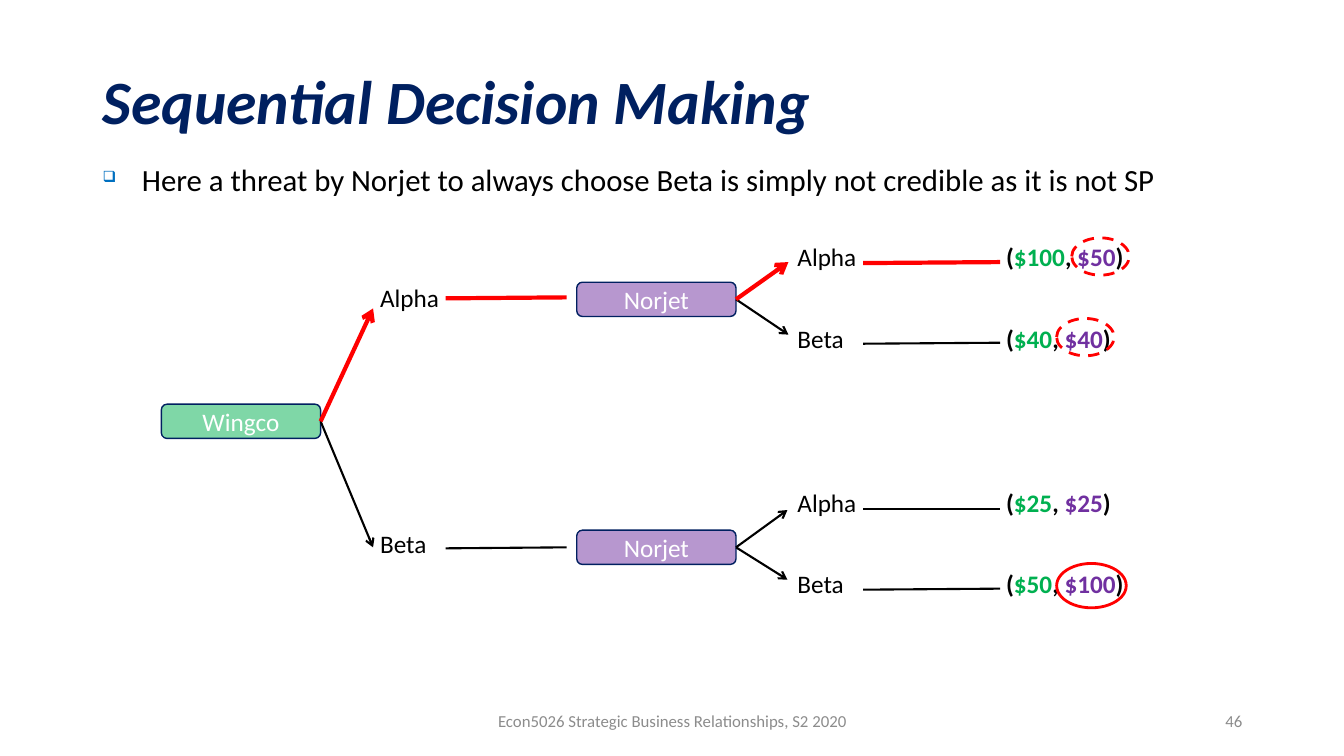
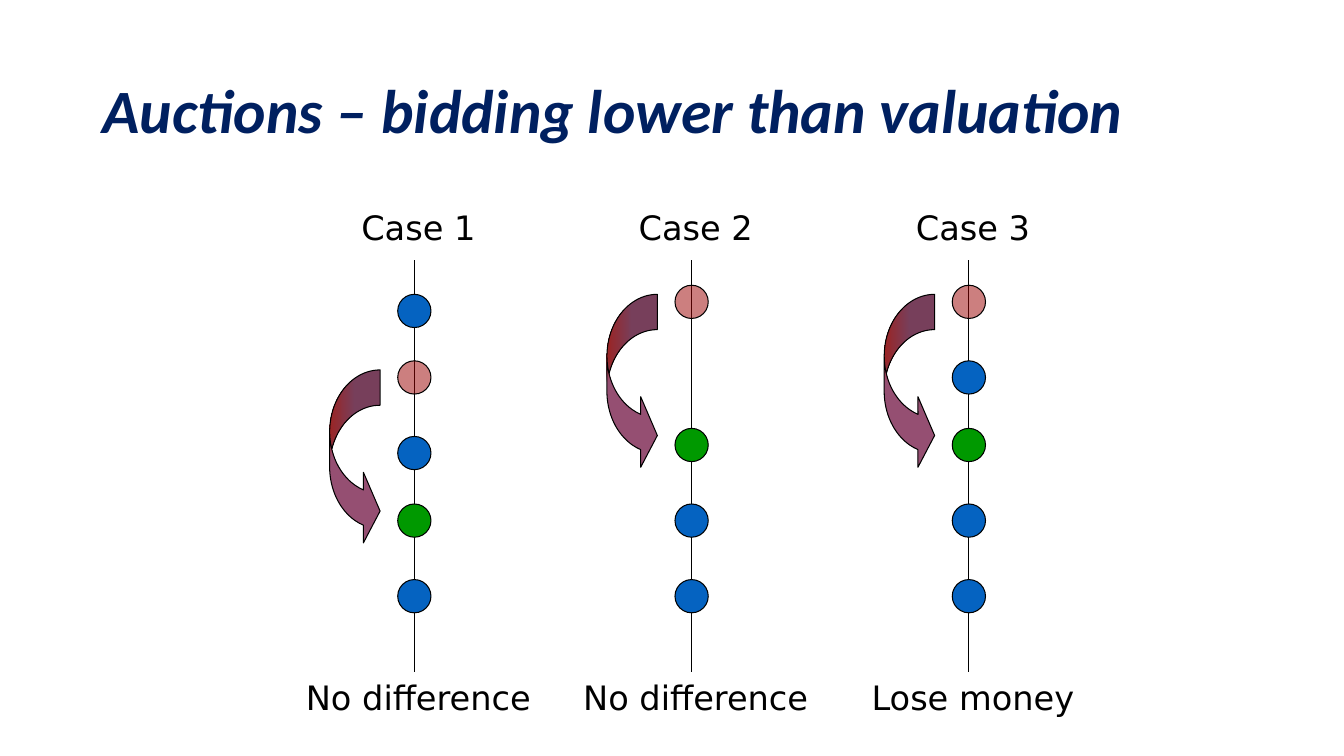
import pptx
import pptx.chart.data
import pptx.dml.color
import pptx.enum.dml
import pptx.enum.shapes
import pptx.enum.text
import pptx.oxml
import pptx.oxml.ns
import pptx.util
from lxml import etree

Inches, Pt, qn = pptx.util.Inches, pptx.util.Pt, pptx.oxml.ns.qn
SHAPE = pptx.enum.shapes.MSO_SHAPE
ALIGN = pptx.enum.text.PP_ALIGN
ANCHOR = pptx.enum.text.MSO_ANCHOR

COLORS = {
    "black": "000000", "white": "FFFFFF", "navy": "002060", "grey": "8C8C8C",
    "bullet": "0070C0", "green": "00B050", "purple": "7030A0", "red": "FF0000",
    "blue dot": "0563C1", "old bid": "9A0000", "new bid": "009900",
    "arrow start": "C22E2E", "arrow end": "954F72",
}
BODY_FONT, CASE_FONT = "Calibri", "DejaVu Sans"

# Content: decision tree
TREE_TITLE = "Sequential Decision Making"
THREAT = "Here a threat by Norjet to always choose Beta is simply not credible as it is not SP"
FOOTER = "Econ5026 Strategic Business Relationships, S2 2020"
PAGE_NUMBER = "46"
TABLE_ROWS, TABLE_COLUMNS = 9, 5
FIRST_CHOICES = {1: "Alpha", 7: "Beta"}  # table row: choice
OUTCOMES = {  # table row: choice, first payoff, second payoff
    0: ("Alpha", "$100", "$50"),
    2: ("Beta", "$40", "$40"),
    6: ("Alpha", "$25", "$25"),
    8: ("Beta", "$50", "$100"),
}
PLAYERS = {  # node: name, left, top, colour
    "upper": ("Norjet", 5.72, 2.8, "purple"),
    "lower": ("Norjet", 5.72, 5.26, "purple"),
    "first": ("Wingco", 1.6, 4.01, "green"),
}
BRANCHES = [  # node, arrow tip, on the equilibrium path
    ("first", (3.7, 5.43), False),
    ("lower", (7.81, 5.06), False),
    ("lower", (7.81, 5.75), False),
    ("upper", (7.82, 3.32), False),
    ("upper", (7.82, 2.6), True),
    ("first", (3.7, 3.06), True),
]
FIRST_SPAN, LAST_SPAN = (4.42, 5.62), (8.56, 9.92)
LINKS = [  # horizontal span, start y, end y, on the equilibrium path
    (FIRST_SPAN, 5.44, 5.43, False),
    (FIRST_SPAN, 2.96, 2.95, True),
    (LAST_SPAN, 2.61, 2.6, True),
    (LAST_SPAN, 3.41, 3.4, False),
    (LAST_SPAN, 5.05, 5.05, False),
    (LAST_SPAN, 5.85, 5.84, False),
]
RINGS = [  # left, top, width, height, dashed
    (10.63, 2.36, 0.57, 0.37, True),
    (10.48, 3.16, 0.57, 0.37, True),
    (10.48, 5.59, 0.69, 0.44, False),
]

# Content: auction cases, with the tops of the bid dots
AUCTION_TITLE = "Auctions – bidding lower than valuation"
CASES = [
    {"name": "Case 1", "result": "No difference",
     "old": 3.58, "new": 5, "others": (2.92, 4.33, 5.75)},
    {"name": "Case 2", "result": "No difference",
     "old": 2.83, "new": 4.25, "others": (5, 5.75)},
    {"name": "Case 3", "result": "Lose money",
     "old": 2.83, "new": 4.25, "others": (3.58, 5, 5.75)},
]
AXIS_LEFT, AXIS_STEP, AXIS_TOP, AXIS_BOTTOM = 4.11, 2.75, 2.58, 6.67
DOT = 0.33


def rgb(color):
    return pptx.dml.color.RGBColor.from_string(COLORS[color])


def style_run(run, size, color="black", font=BODY_FONT, bold=False, italic=False):
    run.font.name, run.font.size = font, Pt(size)
    run.font.bold, run.font.italic = bold, italic
    run.font.color.rgb = rgb(color)


def write(box, text, size, align=ALIGN.LEFT, anchor=ANCHOR.TOP, **style):
    frame = box.text_frame
    frame.word_wrap = True
    frame.vertical_anchor = anchor
    frame.text = text
    para = frame.paragraphs[0]
    para.alignment = align
    style_run(para.runs[0], size, **style)
    return para


def add_text(page, place, text, size, **style):
    box = page.shapes.add_textbox(*map(Inches, place))
    return write(box, text, size, **style)


def add_title(page, top, height, text):
    para = add_text(page, (0.92, top, 11.5, height), text, 44, anchor=ANCHOR.MIDDLE,
                    color="navy", bold=True, italic=True)
    para.line_spacing = 0.9


def add_shape(page, kind, place, fill=None, line="black", width=0.75, opacity=100):
    box = page.shapes.add_shape(kind, *map(Inches, place))
    box.shadow.inherit = False
    box.line.color.rgb = rgb(line)
    box.line.width = Pt(width)
    if fill is None:
        box.fill.background()
        return box
    box.fill.solid()
    box.fill.fore_color.rgb = rgb(fill)
    if opacity < 100:
        color = box.element.spPr.find(qn("a:solidFill"))[0]
        etree.SubElement(color, qn("a:alpha"), val=str(opacity * 1000))
    return box


def add_line(page, start, end, color="black", width=0.75, arrow=False):
    line = page.shapes.add_connector(pptx.enum.shapes.MSO_CONNECTOR.STRAIGHT,
                                     *map(Inches, start + end))
    line.line.color.rgb = rgb(color)
    line.line.width = Pt(width)
    properties = line.element.spPr
    if arrow:
        etree.SubElement(properties.find(qn("a:ln")), qn("a:tailEnd"), type="arrow")
    etree.SubElement(properties, qn("a:effectLst"))
    return line


def path_style(on_path):
    return {"color": "red", "width": 3} if on_path else {"color": "black", "width": 1.5}


def add_bullet(para):
    properties = para._p.get_or_add_pPr()
    properties.set("marL", str(Inches(0.39)))
    properties.set("indent", str(-Inches(0.39)))
    color = etree.SubElement(properties, qn("a:buClr"))
    etree.SubElement(color, qn("a:srgbClr"), val=COLORS["bullet"])
    etree.SubElement(properties, qn("a:buSzPct"), val="50000")
    etree.SubElement(properties, qn("a:buChar"), char="❑")


def add_payoff_table(page):
    place = map(Inches, (1.6, 2.36, 10.35, 3.65))
    table = page.shapes.add_table(TABLE_ROWS, TABLE_COLUMNS, *place).table
    table.first_row = table.horz_banding = False
    for cell in table.iter_cells():
        cell.fill.background()

    def fill_cell(row, column, spans, bold=False):
        para = table.cell(row, column).text_frame.paragraphs[0]
        for text, color in spans:
            run = para.add_run()
            run.text = text
            style_run(run, 18, color, bold=bold)

    for row, choice in FIRST_CHOICES.items():
        fill_cell(row, 1, [(choice, "black")])
    for row, (choice, first, second) in OUTCOMES.items():
        fill_cell(row, 3, [(choice, "black")])
        fill_cell(row, 4, [("(", "black"), (first, "green"), (", ", "black"),
                           (second, "purple"), (")", "black")], bold=True)


def build_tree(page):
    add_title(page, 0.43, 1.21, TREE_TITLE)
    para = add_text(page, (0.92, 1.47, 11.5, 0.6), THREAT, 22)
    add_bullet(para)
    para.line_spacing = 1.2

    # Footer
    for place, text, align in [((4.42, 6.95, 4.5, 0.4), FOOTER, ALIGN.CENTER),
                               ((9.42, 6.95, 3, 0.4), PAGE_NUMBER, ALIGN.RIGHT)]:
        add_text(page, place, text, 12, align=align, anchor=ANCHOR.MIDDLE, color="grey")

    # Choices, payoffs and players
    add_payoff_table(page)
    nodes = {}
    for key, (name, left, top, color) in PLAYERS.items():
        node = add_shape(page, SHAPE.ROUNDED_RECTANGLE, (left, top, 1.58, 0.34),
                         color, "navy", 1, opacity=50)
        write(node, name, 18, align=ALIGN.CENTER, anchor=ANCHOR.MIDDLE, color="white")
        nodes[key] = node

    # Branches and links
    for key, tip, on_path in BRANCHES:
        branch = add_line(page, tip, tip, arrow=True, **path_style(on_path))
        branch.begin_connect(nodes[key], 3)
    for (left, right), start, end, on_path in LINKS:
        add_line(page, (left, start), (right, end), **path_style(on_path))

    # Rings around the second player's payoffs
    for *place, dashed in RINGS:
        ring = add_shape(page, SHAPE.OVAL, place, line="red", width=2)
        if dashed:
            ring.line.dash_style = pptx.enum.dml.MSO_LINE.DASH


def add_bid_arrow(page, left, top):
    arrow = add_shape(page, SHAPE.CURVED_RIGHT_ARROW, (left, top, 0.5, 1.75))
    for index, value in enumerate((0.7, 1.4, 0.33)):
        arrow.adjustments[index] = value
    arrow.fill.gradient()
    for stop, color in zip(arrow.fill.gradient_stops, ("arrow start", "arrow end")):
        stop.color.rgb = rgb(color)
    gradient = arrow.element.spPr.find(qn("a:gradFill"))
    gradient.remove(gradient.find(qn("a:lin")))
    shade = etree.SubElement(gradient, qn("a:path"), path="rect")
    etree.SubElement(shade, qn("a:fillToRect"), r="100000", b="100000")


def build_auctions(page):
    add_title(page, 0.4, 1.45, AUCTION_TITLE)
    for index, case in enumerate(CASES):
        axis = AXIS_LEFT + index * AXIS_STEP
        add_line(page, (axis, AXIS_TOP), (axis, AXIS_BOTTOM))

        # Bids
        dots = [(top, "blue dot", 100) for top in case["others"]]
        dots += [(case["old"], "old bid", 50), (case["new"], "new bid", 100)]
        for top, color, opacity in dots:
            add_shape(page, SHAPE.OVAL, (axis - DOT / 2, top, DOT, DOT),
                      color, opacity=opacity)
        add_bid_arrow(page, axis - 0.84, case["old"] + 0.09)

        # Labels
        for text, top, width in [(case["name"], 2, 2.08),
                                 (case["result"], AXIS_BOTTOM, 2.67)]:
            add_text(page, (axis + 0.04 - width / 2, top, width, 0.5), text, 24,
                     align=ALIGN.CENTER, font=CASE_FONT)


def main():
    deck = pptx.Presentation()
    deck.slide_width, deck.slide_height = Inches(13.33), Inches(7.5)
    for build in (build_tree, build_auctions):
        build(deck.slides.add_slide(deck.slide_layouts[6]))
    deck.save("out.pptx")


if __name__ == "__main__":
    main()
